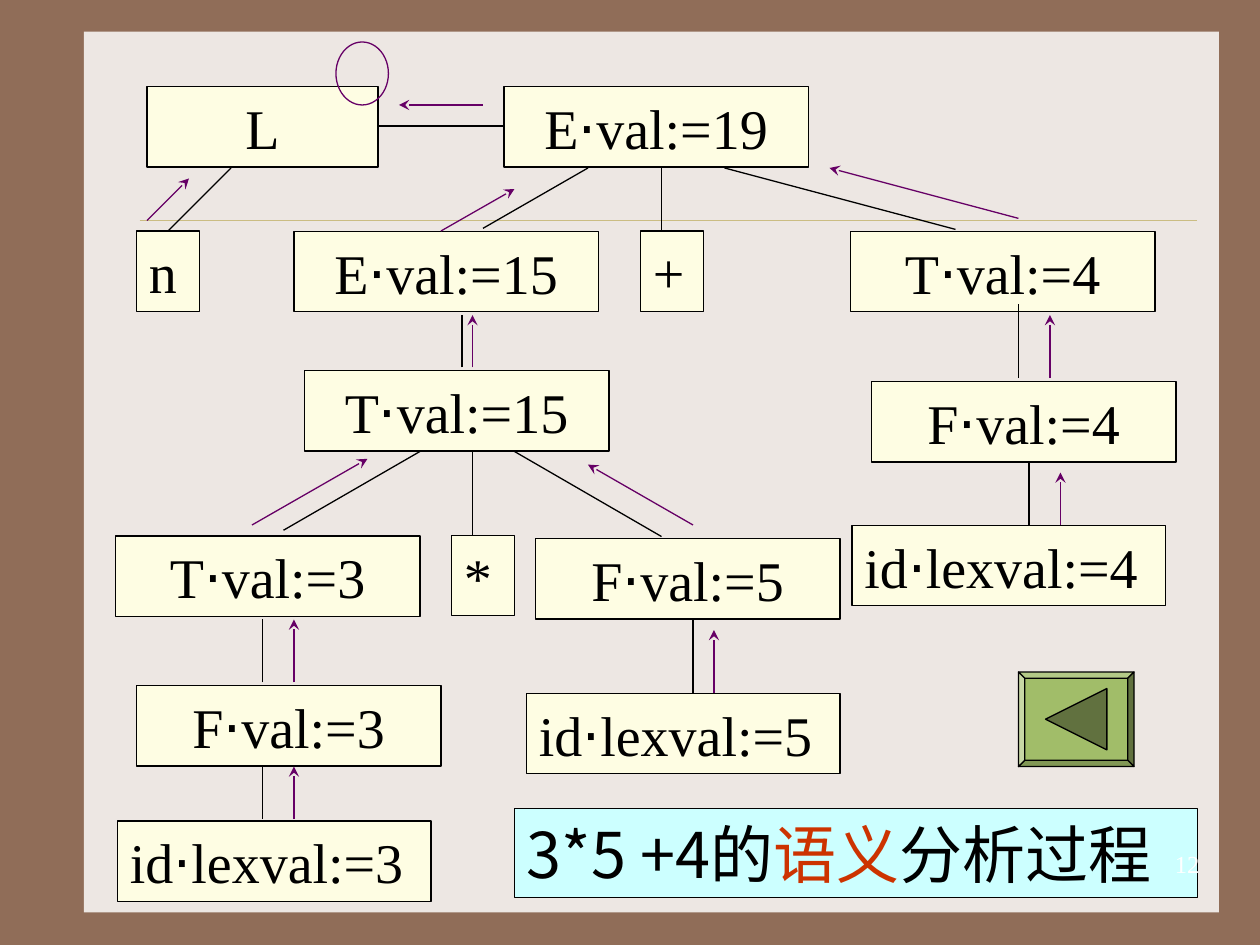
import pptx
import pptx.util
import pptx.dml.color
import pptx.enum.shapes
import pptx.enum.text
import pptx.oxml.ns
from lxml import etree

COLORS = {
    "frame": "906D58", "panel": "EDE7E3", "rule": "CBBD83", "node": "FEFDE3",
    "black": "000000", "flow": "660066", "caption": "CCFFFF", "accent": "CC3300",
    "white": "FFFFFF", "face": "A1BD69", "light": "B4CA87", "pale": "C7D7A5",
    "shade": "819754", "dark": "61713F",
}
COLUMNS, ROWS = 120, 90
WIDTH, HEIGHT = pptx.util.Inches(10), pptx.util.Inches(7.5)
SERIF, SYMBOL, CJK = "Times New Roman", "Arial", "Noto Sans CJK JP"
NODE_HEIGHT = 7.65
SHAPES = pptx.enum.shapes.MSO_SHAPE
ALIGN = pptx.enum.text.PP_ALIGN
ANCHOR = pptx.enum.text.MSO_ANCHOR

VALUE_NODES = [
    (14, 8.25, 22, "L"), (48, 8.25, 29, "E⋅val:=19"),
    (28, 22.05, 29, "E⋅val:=15"), (81, 22.05, 29, "T⋅val:=4"),
    (29, 35.3, 29, "T⋅val:=15"), (83, 36.35, 29, "F⋅val:=4"),
    (11, 51.05, 29, "T⋅val:=3"), (51, 51.3, 29, "F⋅val:=5"),
    (13, 65.3, 29, "F⋅val:=3"),
]
LEAF_NODES = [
    (11.2, 78.2, 29.85, "id⋅lexval:=3"), (50.15, 66.05, 29.85, "id⋅lexval:=5"),
    (81.15, 50.05, 29.85, "id⋅lexval:=4"), (13, 22, 6, "n"),
    (61, 22, 6, "+"), (43, 51, 6, "*"),
]
TREE_EDGES = [
    (48, 12, 36, 12), (22, 16, 16, 22), (56, 16, 46, 21.75), (63, 16, 63, 22),
    (69, 16, 91, 21.85), (44, 35, 44, 30), (97, 36, 97, 29), (98, 50, 98, 44),
    (40, 43, 27, 50.5), (45, 43, 45, 51), (49, 43, 63, 51.1), (25, 65, 25, 59),
    (66, 66, 66, 59), (25, 78, 25, 73),
]
VALUE_FLOWS = [
    (28, 78, 28, 73), (28, 65, 28, 59), (68, 66, 68, 60), (24, 50, 35, 43.7),
    (66, 50, 56, 44.25), (45, 35, 45, 30), (101, 50, 101, 45), (100, 36, 100, 30),
    (42, 22, 49, 18), (97, 20.8, 79, 16), (14, 21, 18, 17), (46, 10, 38, 10),
]


def across(columns):
    """Return the length of a number of grid columns."""
    return round(WIDTH * columns / COLUMNS)


def down(rows):
    """Return the length of a number of grid rows."""
    return round(HEIGHT * rows / ROWS)


def color(name):
    """Return a named colour."""
    return pptx.dml.color.RGBColor.from_string(COLORS[name])


def paint(shape, fill=None, line=None, weight=0.75):
    """Set the fill and outline of a shape and remove its shadow."""
    shape.shadow.inherit = False
    if fill:
        shape.fill.solid()
        shape.fill.fore_color.rgb = color(fill)
    else:
        shape.fill.background()
    if line:
        shape.line.color.rgb = color(line)
        shape.line.width = pptx.util.Pt(weight)
    else:
        shape.line.fill.background()


def add_box(slide, kind, left, top, width, height, **style):
    """Add a painted preset shape on the grid."""
    shape = slide.shapes.add_shape(kind, across(left), down(top), across(width), down(height))
    paint(shape, **style)
    return shape


def write(shape, pieces, size, align, wrap=True):
    """Write runs given as text, font and colour into a shape."""
    frame = shape.text_frame
    frame.word_wrap = wrap
    frame.vertical_anchor = ANCHOR.MIDDLE
    paragraph = frame.paragraphs[0]
    paragraph.alignment = align
    for text, font, tint in pieces:
        run = paragraph.add_run()
        run.text = text
        run.font.size = pptx.util.Pt(size)
        run.font.name = font
        run.font.color.rgb = color(tint)
        if font == CJK:
            east_asian = etree.SubElement(run.font._element, pptx.oxml.ns.qn("a:ea"))
            east_asian.set("typeface", font)


def add_node(slide, left, top, width, label, align):
    """Add a tree node with its attribute label."""
    shape = add_box(slide, SHAPES.RECTANGLE, left, top, width, NODE_HEIGHT, fill="node", line="black")
    pieces = [(text, SYMBOL if text == "⋅" else SERIF, "black") for text in label.partition("⋅") if text]
    write(shape, pieces, 32, align, wrap="lexval" not in label)


def add_line(slide, start_x, start_y, end_x, end_y, tint, weight=0.75, arrow=False):
    """Add a straight line with an optional stealth arrowhead at its end."""
    connector = slide.shapes.add_connector(
        pptx.enum.shapes.MSO_CONNECTOR.STRAIGHT,
        across(start_x), down(start_y), across(end_x), down(end_y))
    connector.line.color.rgb = color(tint)
    connector.line.width = pptx.util.Pt(weight)
    if arrow:
        tail = etree.SubElement(connector.line._get_or_add_ln(), pptx.oxml.ns.qn("a:tailEnd"))
        tail.set("type", "stealth")
    etree.SubElement(connector._element.spPr, pptx.oxml.ns.qn("a:effectLst"))


def add_polygon(slide, points, fill):
    """Add a closed outline through grid points."""
    corners = [(across(x), down(y)) for x, y in points]
    builder = slide.shapes.build_freeform(*corners[0], scale=1.0)
    builder.add_line_segments(corners[1:], close=True)
    paint(builder.convert_to_shape(), fill=fill, line="black")


def add_back_button(slide, left, top, width, height, bevel):
    """Add a bevelled button with a triangle that points left."""
    right, bottom = left + width, top + height
    outer = [(left, top), (right, top), (right, bottom), (left, bottom)]
    inner = [(left + bevel, top + bevel), (right - bevel, top + bevel),
             (right - bevel, bottom - bevel), (left + bevel, bottom - bevel)]
    add_polygon(slide, inner, "face")
    for side, fill in enumerate(("light", "dark", "shade", "pale")):
        following = (side + 1) % 4
        add_polygon(slide, [outer[side], outer[following], inner[following], inner[side]], fill)
    middle_x, middle_y, reach = left + width / 2, top + height / 2, 2.92
    add_polygon(slide, [(middle_x - reach, middle_y), (middle_x + reach, middle_y - reach),
                        (middle_x + reach, middle_y + reach)], "dark")


def main():
    """Build the annotated parse tree slide."""
    presentation = pptx.Presentation()
    presentation.slide_width, presentation.slide_height = WIDTH, HEIGHT
    slide = presentation.slides.add_slide(presentation.slide_layouts[6])
    slide.background.fill.solid()
    slide.background.fill.fore_color.rgb = color("frame")
    add_box(slide, SHAPES.RECTANGLE, 8, 3, 108.1, 83.9, fill="panel")
    add_line(slide, 13.3, 21, 114, 21, "rule", 0.25)

    for node in VALUE_NODES:
        add_node(slide, *node, ALIGN.CENTER)
    for node in LEAF_NODES:
        add_node(slide, *node, ALIGN.LEFT)
    for edge in TREE_EDGES:
        add_line(slide, *edge, "black")
    for flow in VALUE_FLOWS:
        add_line(slide, *flow, "flow", arrow=True)
    add_box(slide, SHAPES.OVAL, 32, 4, 5, 6, line="flow")

    caption = add_box(slide, SHAPES.RECTANGLE, 49, 77, 65, 8.45, fill="caption", line="black", weight=0.25)
    write(caption, [("3*5 +4的", CJK, "black"), ("语义", CJK, "accent"), ("分析过程", CJK, "black")],
          36, ALIGN.LEFT)
    add_back_button(slide, 97, 64, 11, 9, 0.6)
    number = slide.shapes.add_textbox(across(90.4), down(79.3), across(25), down(6))
    write(number, [("12", SERIF, "white")], 14, ALIGN.RIGHT)
    presentation.save("out.pptx")


if __name__ == "__main__":
    main()
